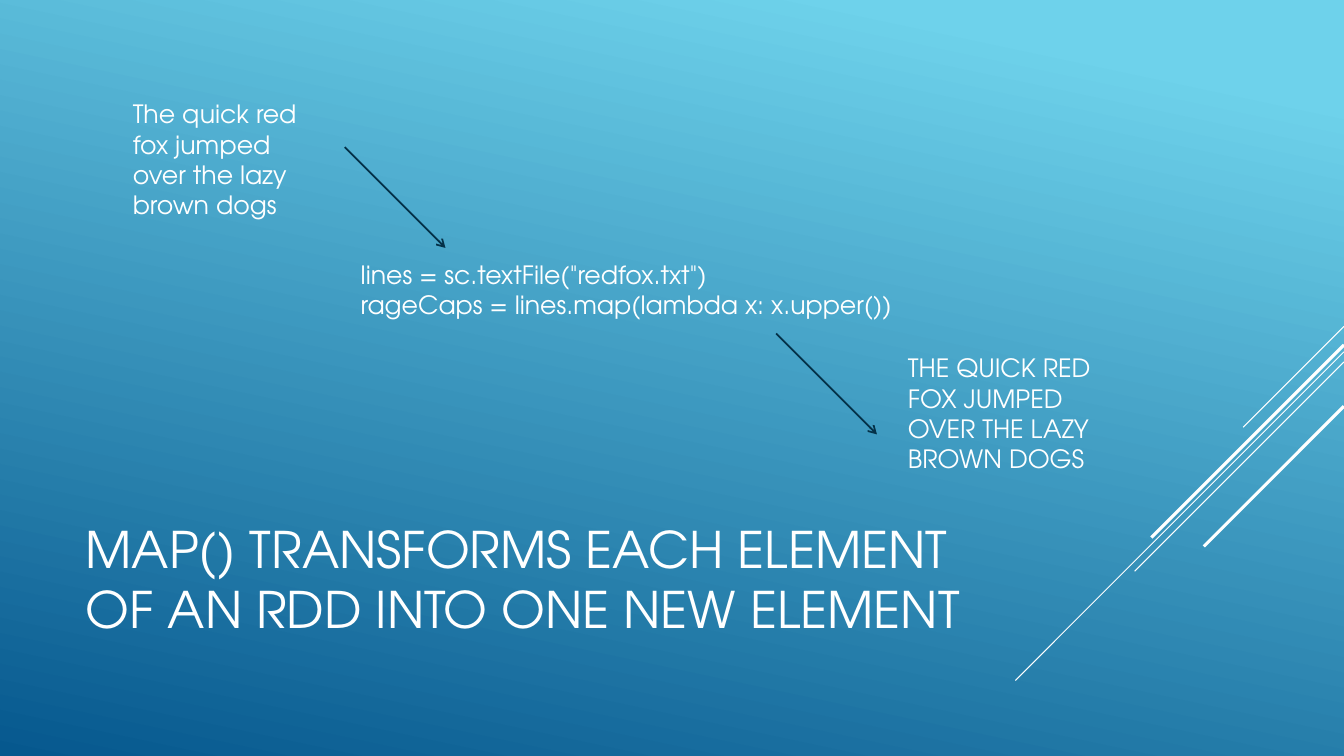
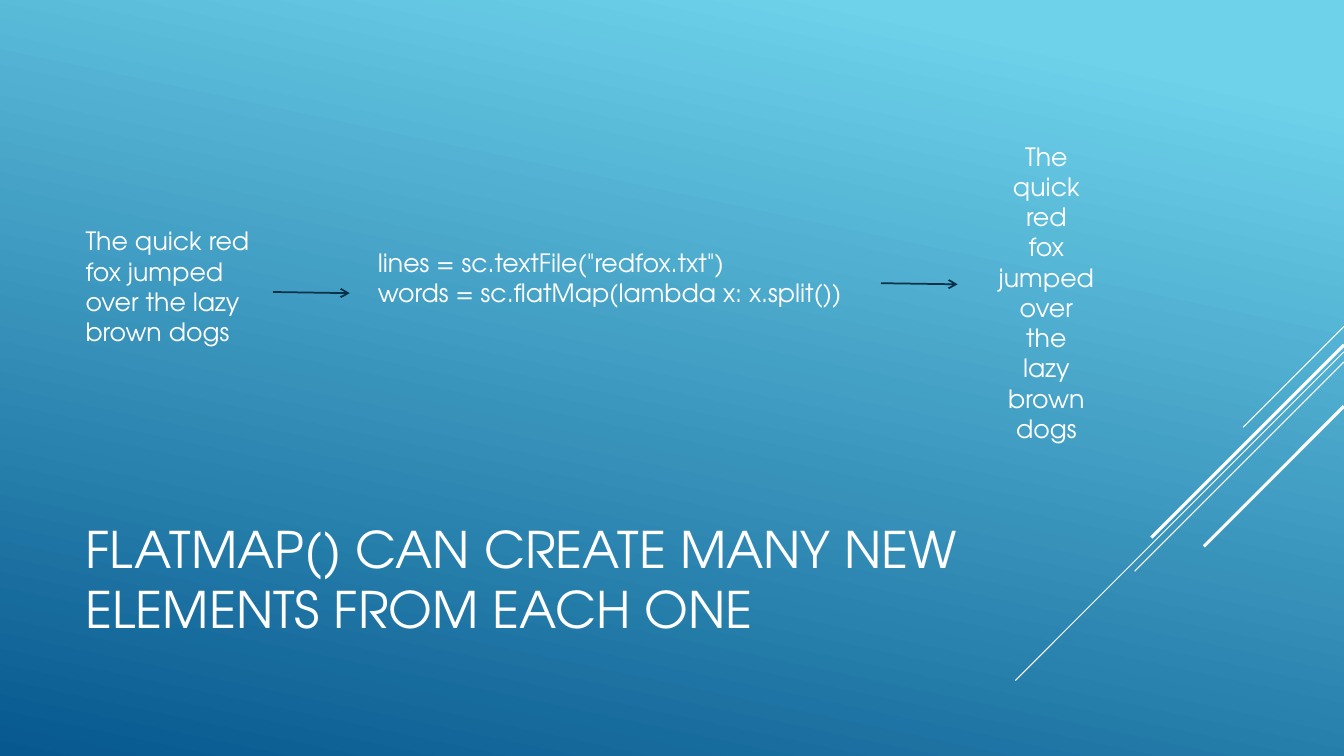
from lxml.etree import SubElement
from pptx import Presentation
from pptx.dml.color import RGBColor
from pptx.enum.shapes import MSO_CONNECTOR
from pptx.enum.text import MSO_ANCHOR, MSO_AUTO_SIZE, PP_ALIGN
from pptx.oxml.ns import qn
from pptx.util import Pt

COLORS = {"sky": "6ED2EB", "deep": "06588E", "white": "FFFFFF", "arrow": "043148"}
FONT = "TeX Gyre Adventor"
WIDTH, HEIGHT = 960, 540
TITLE_BOX = (54, 353.5, 672, 118.8)
STRIPES = [(233.2, 72, 0.75), (251.3, 234.7, 0.75), (258.5, 149.5, 0.75),
           (246.4, 137.6, 2.25), (290.2, 100.1, 2.25)]
FOX_LINES = ["The quick red", "fox jumped", "over the lazy", "brown dogs"]
LOAD_LINE = 'lines = sc.textFile("redfox.txt")'


def rgb(name):
    """Return a palette colour."""
    return RGBColor.from_string(COLORS[name])


def paint_background(master):
    """Give every slide the same slanted gradient."""
    fill = master.background.fill
    fill.gradient()
    fill.gradient_angle = 258
    for stop, position, name in zip(fill.gradient_stops, (0.1, 1), ("sky", "deep")):
        stop.position = position
        stop.color.rgb = rgb(name)


def add_text(s, box, lines, size=18, align=PP_ALIGN.LEFT, anchor=MSO_ANCHOR.TOP,
             fit=MSO_AUTO_SIZE.SHAPE_TO_FIT_TEXT):
    """Place one paragraph per line of text in a box."""
    tf = s.shapes.add_textbox(*map(Pt, box)).text_frame
    tf.word_wrap = True
    tf.auto_size = fit
    tf.vertical_anchor = anchor
    for i, line in enumerate(lines):
        p = tf.paragraphs[0] if i == 0 else tf.add_paragraph()
        p.alignment = align
        r = p.add_run()
        r.text = line
        r.font.name = FONT
        r.font.size = Pt(size)
        r.font.color.rgb = rgb("white")


def add_line(s, start, end, color, width, arrow=False):
    """Draw a straight line, with an open arrowhead at its end if asked."""
    line = s.shapes.add_connector(MSO_CONNECTOR.STRAIGHT, *map(Pt, start + end))
    line.line.color.rgb = rgb(color)
    line.line.width = Pt(width)
    if arrow:
        SubElement(line.line._get_or_add_ln(), qn("a:tailEnd"), type="arrow")
    SubElement(line._element.spPr, qn("a:effectLst"))


def add_stripes(s, right=WIDTH):
    """Draw the diagonal stripes running down from the right edge."""
    for top, run, width in STRIPES:
        add_line(s, (right, top), (right - run, top + run), "white", width)


def add_flow_slide(prs, title, blocks, arrows, step):
    """Build a slide with text blocks and equal arrows above a title."""
    s = prs.slides.add_slide(prs.slide_layouts[6])
    add_stripes(s)
    add_text(s, TITLE_BOX, [title], size=36, anchor=MSO_ANCHOR.MIDDLE,
             fit=MSO_AUTO_SIZE.NONE)
    for box, lines, align in blocks:
        add_text(s, box, lines, align=align)
    for x, y in arrows:
        add_line(s, (x, y), (x + step[0], y + step[1]), "arrow", 1.25, arrow=True)


def main():
    """Build and save the presentation."""
    prs = Presentation()
    prs.slide_width, prs.slide_height = Pt(WIDTH), Pt(HEIGHT)
    paint_background(prs.slide_master)
    left, center = PP_ALIGN.LEFT, PP_ALIGN.CENTER
    add_flow_slide(
        prs, "MAP() TRANSFORMS EACH ELEMENT OF AN RDD INTO ONE NEW ELEMENT",
        [((87.8, 67, 216, 94.3), FOX_LINES, left),
         ((250.6, 181.4, 417.6, 72.7),
          [LOAD_LINE, "rageCaps = lines.map(lambda x: x.upper())"], left),
         ((641.5, 248.4, 216, 94.3), [line.upper() for line in FOX_LINES], left)],
        [(246.2, 105.1), (554.4, 238.3)], (72, 72))
    add_flow_slide(
        prs, "FLATMAP() CAN CREATE MANY NEW ELEMENTS FROM EACH ONE",
        [((54, 157.7, 190.8, 94.3), FOX_LINES, left),
         ((262.8, 172.8, 378, 94.3),
          [LOAD_LINE, "words = sc.flatMap(lambda x: x.split())"], left),
         ((639.4, 97.2, 216, 247), " ".join(FOX_LINES).split(), center)],
        [(195.1, 208.6), (629.3, 202.3)], (54.7, 0.8))
    prs.save("out.pptx")


if __name__ == "__main__":
    main()
